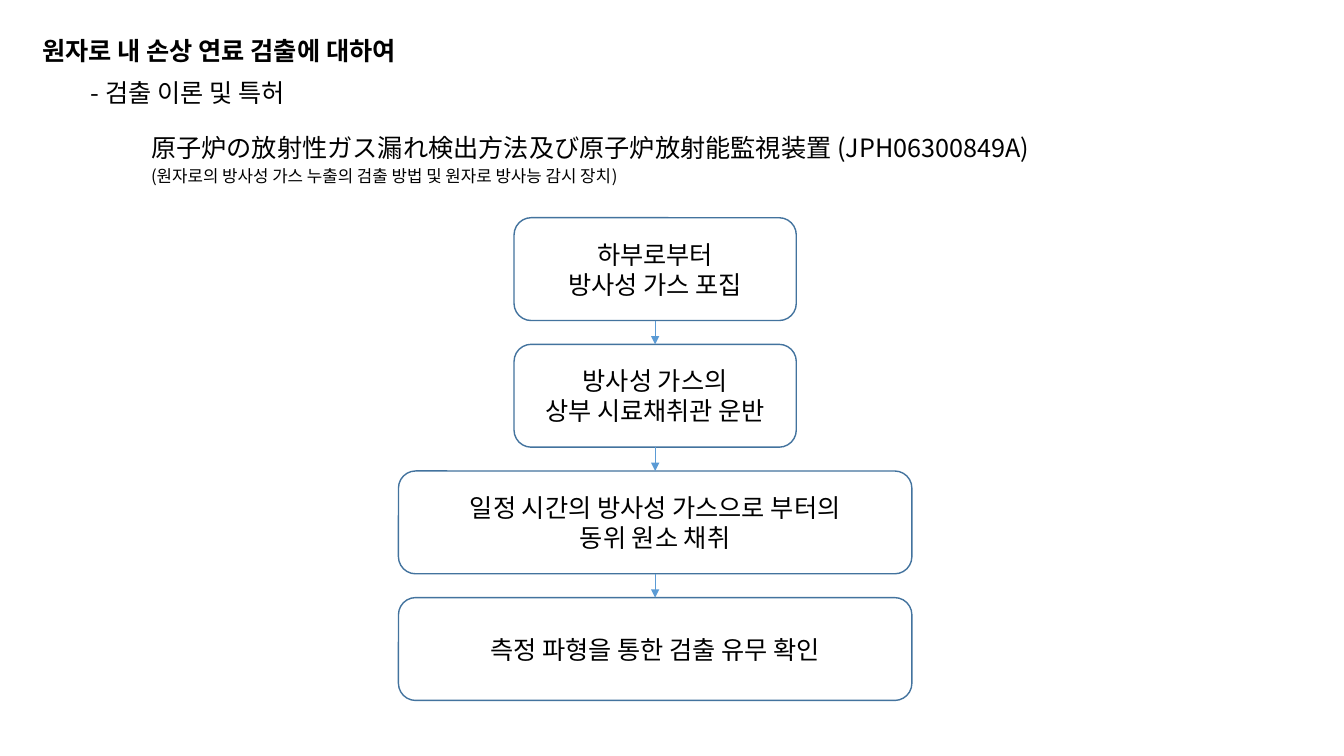
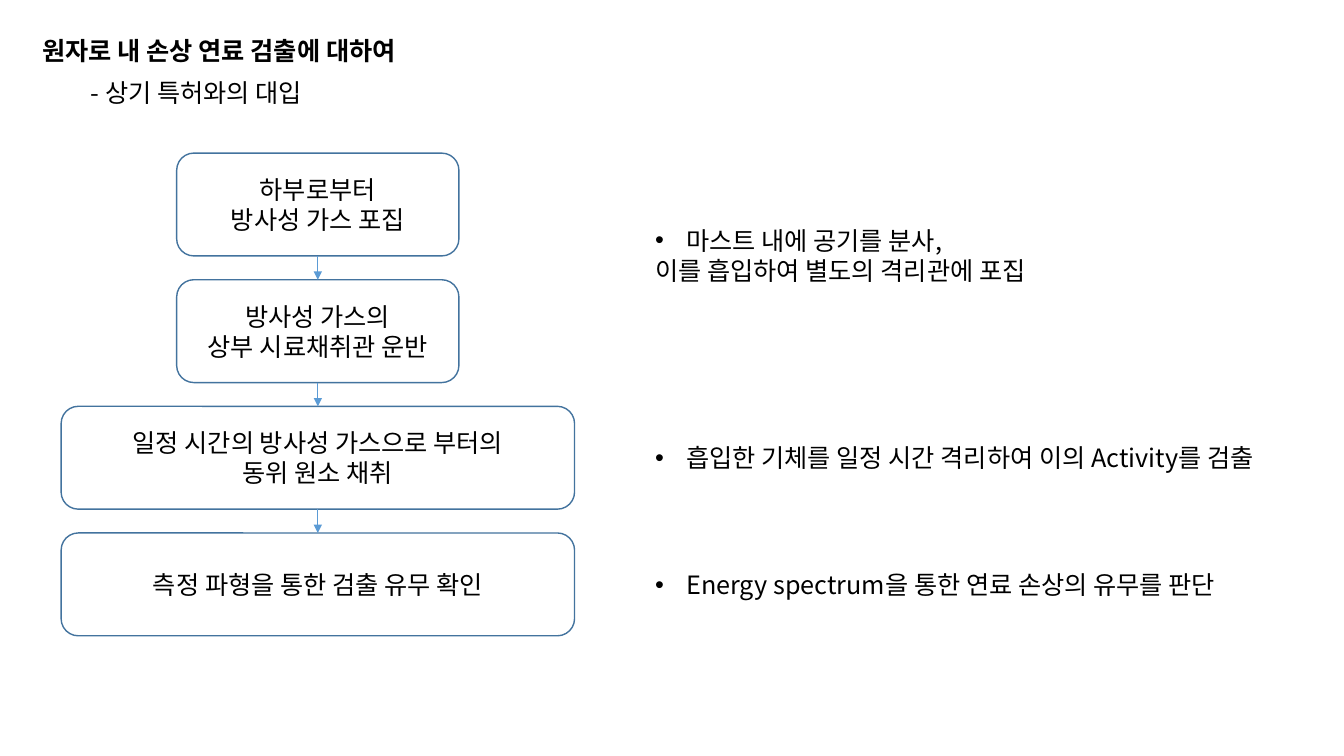
import pptx
import pptx.util
import pptx.dml.color
import pptx.enum.shapes
import pptx.enum.text
import pptx.oxml
import pptx.oxml.ns

Pt = pptx.util.Pt
Align = pptx.enum.text.PP_ALIGN
Anchor = pptx.enum.text.MSO_ANCHOR


class Theme:
    """Colours, font and type sizes."""
    font = "Noto Sans CJK KR"
    ink, edge, arrow = "000000", "43739E", "5B9BD5"
    text, small = 18, 12
    box_line, arrow_line = 1, 0.5
    indent = 0.31


# Shares of the slide, in percent
BOX_H, PITCH = 13.6, 16.75
SLIM, WIDE = 21, 38.2
LINE_H = 5.33
STEPS = [
    (SLIM, [["하부로부터", "방사성 가스 포집"]]),
    (SLIM, [["방사성 가스의"], ["상부 시료채취관 운반"]]),
    (WIDE, [["일정 시간의 방사성 가스으로 부터의", "동위 원소 채취"]]),
    (WIDE, [["측정 파형을 통한 검출 유무 확인"]]),
]
HEAD = "원자로 내 손상 연료 검출에 대하여"


def color(code):
    return pptx.dml.color.RGBColor.from_string(code)


def child(node, tag, **attrs):
    """Append a drawing element with its attributes."""
    item = pptx.oxml.parse_xml(f"<a:{tag} {pptx.oxml.ns.nsdecls('a')}/>")
    for key, value in attrs.items():
        item.set(key, value)
    node.append(item)


class Deck:
    def __init__(self, theme):
        self.theme = theme
        self.prs = pptx.Presentation()
        self.prs.slide_width = pptx.util.Inches(13.33)
        self.prs.slide_height = pptx.util.Inches(7.5)
        self.slide = None

    def area(self, x, y, w, h):
        """Turn percent shares into slide lengths."""
        wide, high = self.prs.slide_width, self.prs.slide_height
        return [round(part * side / 100)
                for part, side in zip((x, y, w, h), (wide, high) * 2)]

    def place(self, shape, *share):
        shape.left, shape.top, shape.width, shape.height = self.area(*share)

    def run(self, para, text, size, bold=False):
        run = para.add_run()
        run.text = text
        font = run.font
        font.size, font.bold, font.name = Pt(size), bold, self.theme.font
        font.color.rgb = color(self.theme.ink)
        child(font._element, "ea", typeface=self.theme.font)

    def fill(self, shape, paras, align=Align.LEFT, anchor=Anchor.TOP,
             wrap=True, bold=False, sizes=None, space=1.0, bullet=False):
        """Write paragraphs, each a list of lines, into a shape."""
        frame = shape.text_frame
        frame.word_wrap = wrap
        frame.auto_size = pptx.enum.text.MSO_AUTO_SIZE.NONE
        frame.vertical_anchor = anchor
        for i, lines in enumerate(paras):
            para = frame.add_paragraph() if i else frame.paragraphs[0]
            para.alignment, para.line_spacing = align, space
            para.space_before = para.space_after = Pt(0)
            props = para._p.get_or_add_pPr()
            dot = bullet and i == 0
            step = pptx.util.Inches(self.theme.indent) if dot else 0
            props.set("marL", str(step))
            props.set("indent", str(-step))
            if dot:
                child(props, "buFont", typeface="Arial")
                child(props, "buChar", char="•")
            else:
                child(props, "buNone")
            for j, line in enumerate(lines):
                if j:
                    para.add_line_break()
                self.run(para, line, sizes[i] if sizes else self.theme.text, bold)

    def page(self, topic):
        """Start a slide with its title and topic line."""
        self.slide = self.prs.slides.add_slide(self.prs.slide_layouts[1])
        title, body = self.slide.placeholders
        self.place(title, 2.4, 4, 32, LINE_H)
        self.fill(title, [[HEAD]], wrap=False, bold=True)
        self.place(body, 6, 9.5, 20, LINE_H)
        self.fill(body, [[topic]], wrap=False)

    def text(self, share, paras, **style):
        self.fill(self.slide.shapes.add_textbox(*self.area(*share)), paras, **style)

    def box(self, share, paras):
        kind = pptx.enum.shapes.MSO_SHAPE.ROUNDED_RECTANGLE
        box = self.slide.shapes.add_shape(kind, *self.area(*share))
        box.shadow.inherit = False
        box.fill.background()
        box.line.color.rgb = color(self.theme.edge)
        box.line.width = Pt(self.theme.box_line)
        self.fill(box, paras, align=Align.CENTER, anchor=Anchor.MIDDLE)
        return box

    def link(self, upper, lower):
        """Join two boxes with a downward arrow."""
        kind = pptx.enum.shapes.MSO_CONNECTOR.STRAIGHT
        line = self.slide.shapes.add_connector(kind, 0, 0, 0, 0)
        line.begin_connect(upper, 2)
        line.end_connect(lower, 0)
        line.line.color.rgb = color(self.theme.arrow)
        line.line.width = Pt(self.theme.arrow_line)
        child(line.line._get_or_add_ln(), "tailEnd", type="triangle")
        child(line._element.spPr, "effectLst")

    def flow(self, mid, top):
        """Stack the step boxes around a centre line."""
        boxes = [self.box((mid - w / 2, top + i * PITCH, w, BOX_H), paras)
                 for i, (w, paras) in enumerate(STEPS)]
        for upper, lower in zip(boxes, boxes[1:]):
            self.link(upper, lower)

    def note(self, top, row, paras):
        """Put a bullet beside a row of the flow."""
        y = top + row * PITCH
        self.text((48, y, 51, BOX_H), paras, anchor=Anchor.MIDDLE, bullet=True)


def main():
    theme = Theme()
    deck = Deck(theme)

    # Patent and its steps
    deck.page("- 검출 이론 및 특허")
    deck.text((10.5, 16, 81.2, 9.5),
              [["原子炉の放射性ガス漏れ検出方法及び原子炉放射能監視装置 (JPH06300849A)"],
               ["(원자로의 방사성 가스 누출의 검출 방법 및 원자로 방사능 감시 장치)"]],
              align=Align.JUSTIFY, sizes=[theme.text, theme.small], space=1.2)
    deck.flow(48.75, 28.8)

    # Steps matched with the method
    deck.page("- 상기 특허와의 대입")
    top = 20.25
    deck.flow(23.65, top)
    deck.note(top, 0.4, [["마스트 내에 공기를 분사,"],
                         ["이를 흡입하여 별도의 격리관에 포집"]])
    deck.note(top, 2, [["흡입한 기체를 일정 시간 격리하여 이의 Activity를 검출"]])
    deck.note(top, 3, [["Energy spectrum을 통한 연료 손상의 유무를 판단"]])

    deck.prs.save("out.pptx")


if __name__ == "__main__":
    main()
